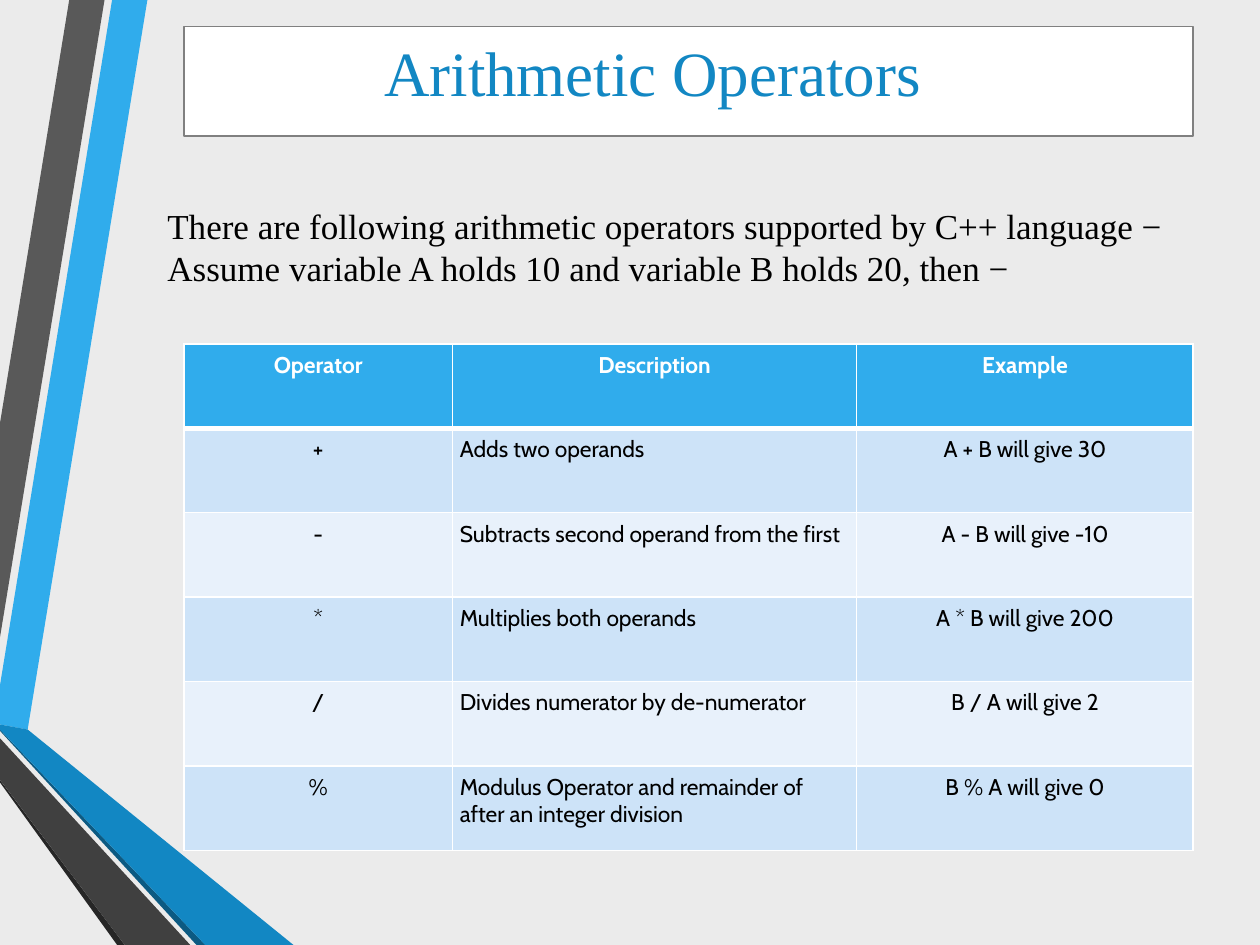
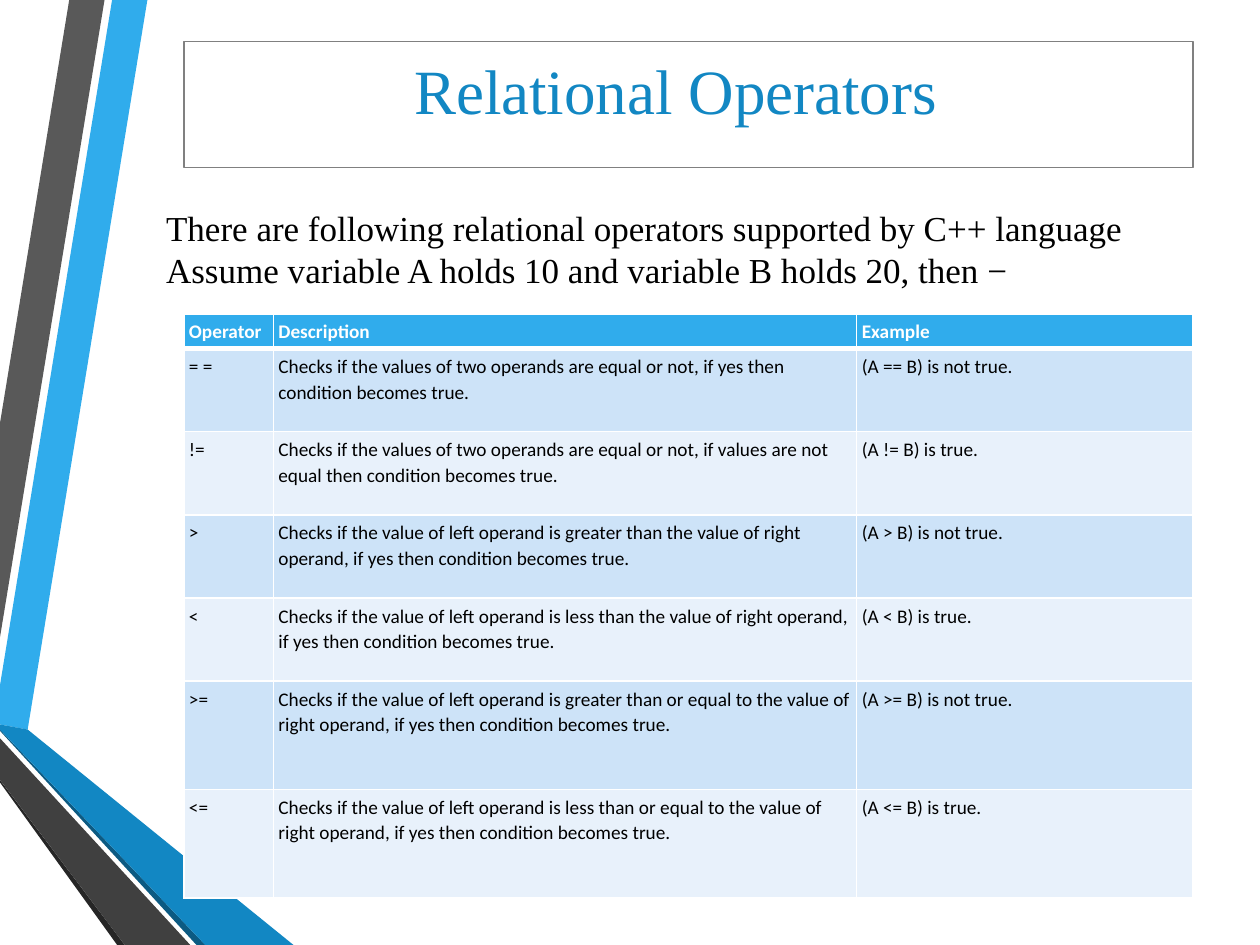
"""Build two slides about the arithmetic and relational operators of C++."""
from lxml.etree import SubElement
from pptx import Presentation
from pptx.dml.color import RGBColor
from pptx.enum.shapes import MSO_SHAPE
from pptx.enum.text import MSO_AUTO_SIZE, PP_ALIGN
from pptx.oxml.ns import qn
from pptx.util import Inches, Pt

SERIF = "Times New Roman"
WHITE, BLACK, GRAY = "FFFFFF", "000000", "808080"
BRIGHT_BLUE, DEEP_BLUE = "30ACEC", "1287C3"
ROW_FILLS = ["E8F1FB", "CDE3F8"]
LEFT, CENTER, JUSTIFY = PP_ALIGN.LEFT, PP_ALIGN.CENTER, PP_ALIGN.JUSTIFY

BANDS = [
    (BRIGHT_BLUE, [(0, 5.44), (0, 5.75), (0.22, 5.79), (1.17, 0), (0.89, 0)]),
    ("595959", [(0.83, 0), (0.55, 0), (0, 3.36), (0, 5.06)]),
    ("262626", [(0, 6.19), (0, 6.21), (0.93, 7.5), (0.99, 7.5)]),
    ("0C5A82", [(0, 5.79), (0, 5.8), (1.56, 7.5), (1.63, 7.5)]),
    (DEEP_BLUE, [(0, 5.79), (1.63, 7.5), (2.33, 7.5), (0.22, 5.79), (0, 5.75)]),
    ("404040", [(0, 6.19), (0.99, 7.5), (1.51, 7.5), (0, 5.86)]),
]

SLIDES = [
    {
        "background": "EBEBEB",
        "frame": (1.46, 0.21, 8.01, 0.87),
        "title": "Arithmetic Operators",
        "title_box": (2.95, 0.22, 4.51, 0.71),
        "intro": "There are following arithmetic operators supported by C++ language −\n"
                 "Assume variable A holds 10 and variable B holds 20, then −",
        "intro_box": (1.23, 1.57, 8.35, 0.77),
        "table_top": 2.73,
        "columns": [2.13, 3.21, 2.67],
        "row_heights": [0.67] * 6,
        "margin": 0.06,
        "alignments": [CENTER, LEFT, CENTER],
        "header_alignment": CENTER,
        "cell_format": {"size": 13, "font": "Cabin"},
        "rows": [
            ("+", "Adds two operands", "A + B will give 30"),
            ("-", "Subtracts second operand from the first", "A - B will give -10"),
            ("*", "Multiplies both operands", "A * B will give 200"),
            ("/", "Divides numerator by de-numerator", "B / A will give 2"),
            ("%", "Modulus Operator and remainder of after an integer division",
             "B % A will give 0"),
        ],
    },
    {
        "background": WHITE,
        "frame": (1.46, 0.33, 8.01, 1),
        "title": "Relational Operators",
        "title_box": (3.19, 0.36, 4.4, 0.71),
        "intro": "There are following relational operators supported by C++ language\n"
                 "Assume variable A holds 10 and variable B holds 20, then −",
        "intro_box": (1.22, 1.59, 8.7, 1.04),
        "table_top": 2.49,
        "columns": [0.71, 4.63, 2.67],
        "row_heights": [0.27] + [0.66] * 4 + [0.86] * 2,
        "margin": 0.04,
        "alignments": [LEFT] * 3,
        "header_alignment": LEFT,
        "cell_format": {"size": 11, "font": "Calibri", "line_spacing": 1.07, "space_after": 8},
        "rows": [
            ("= =", "Checks if the values of two operands are equal or not, "
             "if yes then condition becomes true.", "(A == B) is not true."),
            ("!=", "Checks if the values of two operands are equal or not, "
             "if values are not equal then condition becomes true.", "(A != B) is true."),
            (">", "Checks if the value of left operand is greater than the value of right operand, "
             "if yes then condition becomes true.", "(A > B) is not true."),
            ("<", "Checks if the value of left operand is less than the value of right operand, "
             "if yes then condition becomes true.", "(A < B) is true."),
            (">=", "Checks if the value of left operand is greater than or equal to the value of "
             "right operand, if yes then condition becomes true.", "(A >= B) is not true."),
            ("<=", "Checks if the value of left operand is less than or equal to the value of "
             "right operand, if yes then condition becomes true.", "(A <= B) is true."),
        ],
    },
]


def color(hex_string):
    return RGBColor.from_string(hex_string)


def write_text(text_frame, text, size, font, fill=BLACK, bold=False, alignment=LEFT,
               line_spacing=None, space_after=None):
    text_frame.text = text
    for paragraph in text_frame.paragraphs:
        paragraph.alignment = alignment
        if line_spacing:
            paragraph.line_spacing = line_spacing
        if space_after:
            paragraph.space_after = Pt(space_after)
        for run in paragraph.runs:
            run.font.size = Pt(size)
            run.font.name = font
            run.font.bold = bold
            run.font.color.rgb = color(fill)


presentation = Presentation()
presentation.slide_width = Inches(10)
presentation.slide_height = Inches(7.5)

for content in SLIDES:
    slide = presentation.slides.add_slide(presentation.slide_layouts[6])
    slide.background.fill.solid()
    slide.background.fill.fore_color.rgb = color(content["background"])

    for band_color, outline in BANDS:
        points = [(Inches(x), Inches(y)) for x, y in outline]
        builder = slide.shapes.build_freeform(*points[0])
        builder.add_line_segments(points[1:], close=True)
        band = builder.convert_to_shape()
        band.shadow.inherit = False
        band.fill.solid()
        band.fill.fore_color.rgb = color(band_color)
        band.line.fill.background()

    frame = slide.shapes.add_shape(MSO_SHAPE.RECTANGLE, *map(Inches, content["frame"]))
    frame.shadow.inherit = False
    frame.fill.solid()
    frame.fill.fore_color.rgb = color(WHITE)
    frame.line.color.rgb = color(GRAY)
    frame.line.width = Pt(0.75)

    title = slide.shapes.add_textbox(*map(Inches, content["title_box"])).text_frame
    title.word_wrap = False
    title.auto_size = MSO_AUTO_SIZE.SHAPE_TO_FIT_TEXT
    write_text(title, content["title"], size=36, font=SERIF, fill=DEEP_BLUE)

    intro = slide.shapes.add_textbox(*map(Inches, content["intro_box"])).text_frame
    intro.word_wrap = True
    write_text(intro, content["intro"], size=20, font=SERIF, alignment=JUSTIFY)

    rows = [("Operator", "Description", "Example")] + content["rows"]
    heights = content["row_heights"]
    table = slide.shapes.add_table(len(rows), 3, Inches(1.46), Inches(content["table_top"]),
                                   Inches(8.01), Inches(sum(heights))).table
    for column, width in zip(table.columns, content["columns"]):
        column.width = Inches(width)

    for row_index, values in enumerate(rows):
        table.rows[row_index].height = Inches(heights[row_index])
        is_header = row_index == 0
        for column_index, value in enumerate(values):
            cell = table.cell(row_index, column_index)
            margin = Inches(content["margin"])
            cell.margin_left = cell.margin_right = margin
            cell.margin_top = cell.margin_bottom = margin

            properties = cell._tc.get_or_add_tcPr()
            for side in ("lnL", "lnR", "lnT", "lnB"):
                is_thick = (row_index, side) in [(0, "lnB"), (1, "lnT")]
                border = SubElement(properties, qn(f"a:{side}"), w=str(Pt(3 if is_thick else 1)))
                border_fill = SubElement(border, qn("a:solidFill"))
                SubElement(border_fill, qn("a:srgbClr"), val=WHITE)

            cell.fill.solid()
            cell.fill.fore_color.rgb = color(BRIGHT_BLUE if is_header else ROW_FILLS[row_index % 2])
            write_text(cell.text_frame, value, bold=is_header, fill=WHITE if is_header else BLACK,
                       alignment=content["header_alignment"] if is_header
                       else content["alignments"][column_index],
                       **content["cell_format"])

presentation.save("out.pptx")
